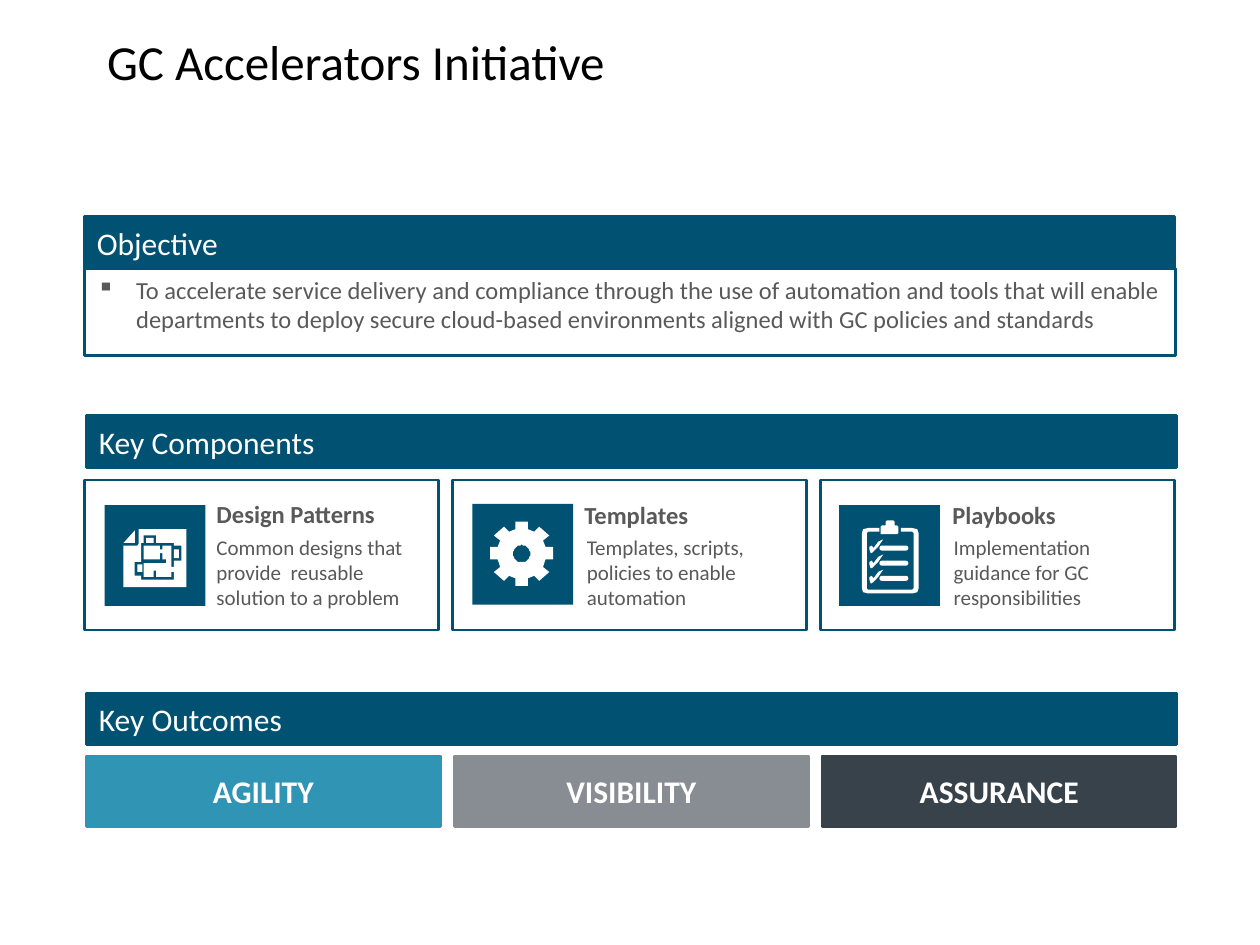
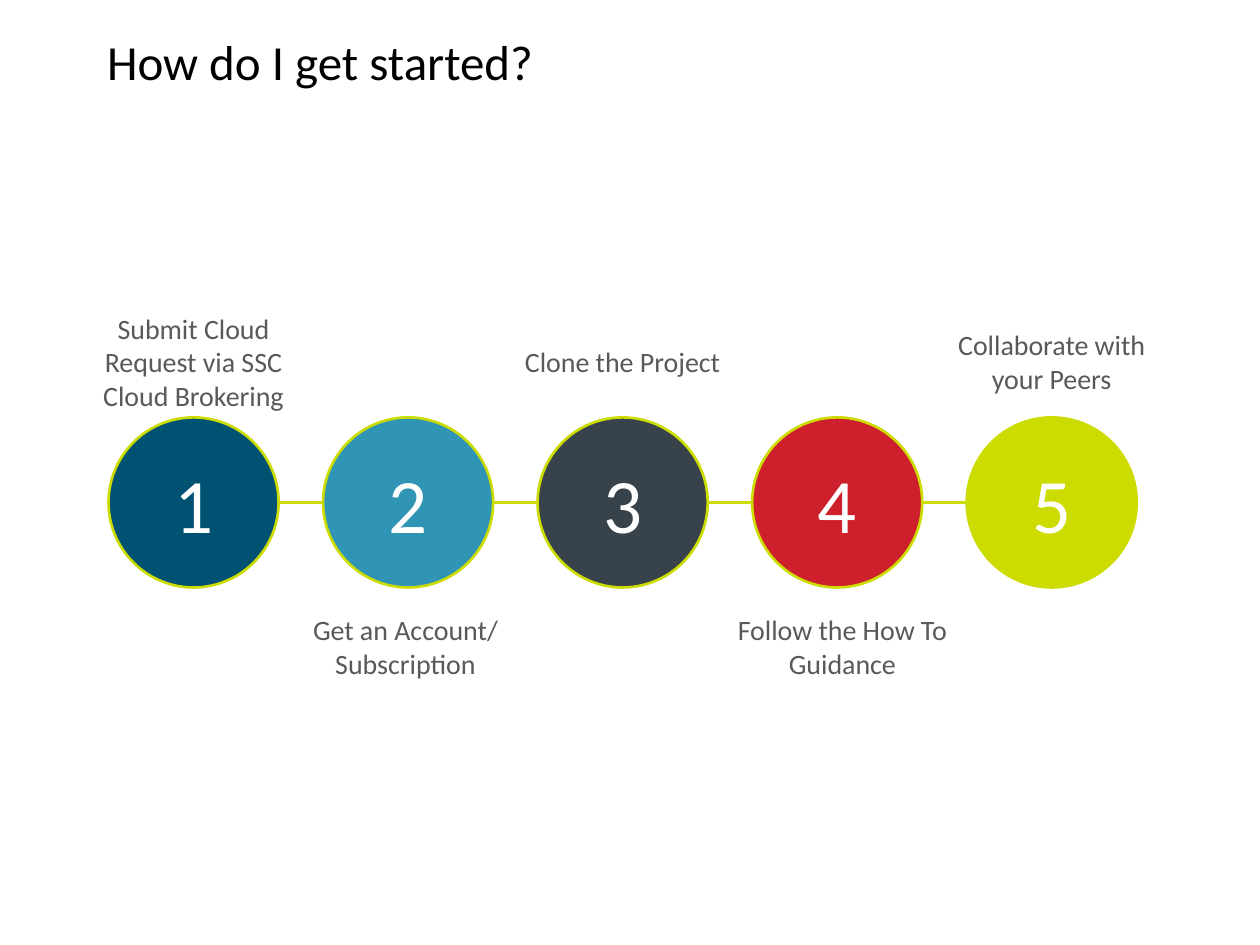
from math import cos, pi, sin

from lxml import etree
from pptx import Presentation
from pptx.dml.color import RGBColor
from pptx.enum.shapes import MSO_CONNECTOR, MSO_SHAPE
from pptx.enum.text import MSO_ANCHOR, PP_ALIGN
from pptx.oxml.ns import qn
from pptx.util import Pt

RECT, ROUNDED, OVAL = MSO_SHAPE.RECTANGLE, MSO_SHAPE.ROUNDED_RECTANGLE, MSO_SHAPE.OVAL
STRAIGHT = MSO_CONNECTOR.STRAIGHT
TOP, MIDDLE = MSO_ANCHOR.TOP, MSO_ANCHOR.MIDDLE
LEFT, CENTER = PP_ALIGN.LEFT, PP_ALIGN.CENTER

WHITE = RGBColor(0xFF, 0xFF, 0xFF)
BLACK = RGBColor(0, 0, 0)
TEXT_GREY = RGBColor(0x59, 0x59, 0x59)
TEAL = RGBColor(0x00, 0x51, 0x72)
SKY = RGBColor(0x30, 0x95, 0xB4)
SILVER = RGBColor(0x87, 0x8D, 0x92)
SLATE = RGBColor(0x37, 0x42, 0x4A)
RED = RGBColor(0xCD, 0x20, 0x2C)
LIME = RGBColor(0xCC, 0xDC, 0x00)

FONT = "Calibri"
LINE_WIDTH = 1.5
TILE = 57.6          # side of an icon tile
UNIT = TILE / 80     # icons are drawn on an 80 x 80 grid


class Deck:
    """Holds the presentation, its style and the current slide."""

    def __init__(self):
        self.prs = Presentation()
        self.prs.slide_width, self.prs.slide_height = Pt(720), Pt(540)
        self.slide = None

    def new_slide(self, title):
        self.slide = self.prs.slides.add_slide(self.prs.slide_layouts[6])
        frame = self.text((61.2, 18, 427.68, 53.28), title, 28, BLACK)
        for side in ("left", "top", "right", "bottom"):
            setattr(frame, f"margin_{side}", 0)

    def fill_text(self, frame, text, size, color, bold=False, align=LEFT, anchor=TOP):
        for name, value in {"word_wrap": True, "vertical_anchor": anchor}.items():
            setattr(frame, name, value)
        paragraph = frame.paragraphs[0]
        paragraph.alignment = align
        run = paragraph.add_run()
        run.text = text
        for name, value in {"name": FONT, "size": Pt(size), "bold": bold}.items():
            setattr(run.font, name, value)
        run.font.color.rgb = color
        return frame

    def text(self, area, text, size, color=TEXT_GREY, **style):
        box = self.slide.shapes.add_textbox(*map(Pt, area))
        return self.fill_text(box.text_frame, text, size, color, **style)

    def paint(self, shape, fill=None, line=None):
        shape.shadow.inherit = False
        if fill is None:
            shape.fill.background()
        else:
            shape.fill.solid()
            shape.fill.fore_color.rgb = fill
        if line is None:
            shape.line.fill.background()
        else:
            shape.line.color.rgb = line
            shape.line.width = Pt(LINE_WIDTH)

    def shape(self, area, fill=None, line=None, kind=RECT):
        shape = self.slide.shapes.add_shape(kind, *map(Pt, area))
        self.paint(shape, fill, line)
        return shape

    def label(self, area, fill, text, size, line=None, kind=RECT, **style):
        shape = self.shape(area, fill, line or fill, kind)
        self.fill_text(shape.text_frame, text, size, WHITE, anchor=MIDDLE, **style)

    def banner(self, left, top, text):
        self.label((left, top, 623, 29.5), TEAL, text, 18)

    def bullet_box(self, area, text):
        frame = self.shape(area, line=TEAL).text_frame
        self.fill_text(frame, text, 14, TEXT_GREY)
        props = frame.paragraphs[0]._p.get_or_add_pPr()
        indent = Pt(22.5)
        props.set("marL", str(indent))
        props.set("indent", str(-indent))
        color = etree.SubElement(props, qn("a:buClr"))
        etree.SubElement(color, qn("a:srgbClr"), val=str(TEXT_GREY))
        etree.SubElement(props, qn("a:buChar"), char="▪")

    def connector(self, x1, x2, y, color):
        line = self.slide.shapes.add_connector(STRAIGHT, Pt(x1), Pt(y), Pt(x2), Pt(y))
        line.line.color.rgb = color
        line.line.width = Pt(LINE_WIDTH)
        etree.SubElement(line._element.spPr, qn("a:effectLst"))

    # Icon parts: grid units, measured from the tile's corner
    def icon_outline(self, tile, *contours):
        first, *rest = contours
        builder = self.slide.shapes.build_freeform(*first[0], scale=Pt(1) * UNIT)
        builder.add_line_segments(first[1:], close=True)
        for contour in rest:
            builder.move_to(*contour[0])
            builder.add_line_segments(contour[1:], close=True)
        self.paint(builder.convert_to_shape(*map(Pt, tile)), WHITE)

    def icon_bar(self, tile, x, y, width, height, kind=RECT):
        left, top = tile
        return self.shape((left + x * UNIT, top + y * UNIT, width * UNIT, height * UNIT),
                          WHITE, kind=kind)


def floor_plan(deck, tile):
    page = [(27, 19), (27, 31), (26, 32), (15, 32), (15, 65), (65, 65), (65, 19)]
    walls = [(61, 44), (55, 44), (55, 49), (53, 49), (53, 32), (46, 32), (46, 35),
             (44, 35), (44, 32), (31, 32), (31, 43), (44, 43), (44, 38), (46, 38),
             (46, 43), (49, 43), (49, 46), (31, 46), (31, 57), (39, 57), (39, 52),
             (41, 52), (41, 57), (53, 57), (53, 53), (55, 53), (55, 59), (29, 59),
             (29, 56), (24, 56), (24, 45), (29, 45), (29, 30), (31, 30), (31, 24),
             (41, 24), (41, 30), (55, 30), (55, 32), (61, 32)]
    deck.icon_outline(tile, page, walls)
    deck.icon_outline(tile, [(24, 20), (15, 30), (24, 30)])
    for room in ((33, 26, 6, 4), (26, 47, 4, 6), (55, 35, 4, 7)):
        deck.icon_bar(tile, *room)


def gear(deck, tile):
    center_x, center_y = 39, 39.5
    tooth = [(19.5, -5), (25.5, -5), (25.5, 5), (19.5, 5)]

    def turned(x, y, angle):
        return (center_x + x * cos(angle) - y * sin(angle),
                center_y + x * sin(angle) + y * cos(angle))

    rim = [turned(x, y, k * pi / 4) for k in range(8) for x, y in tooth]
    hole = [turned(7, 0, k * pi / 16) for k in range(32)]
    deck.icon_outline(tile, rim, hole)


def checklist(deck, tile):
    board = [(49, 18), (58, 18), (62, 19), (63, 22), (63, 66), (62, 69), (58, 70),
             (23, 70), (19, 69), (18, 66), (18, 22), (19, 19), (23, 18), (32, 18),
             (32, 21), (23, 21), (22, 22), (22, 66), (23, 67), (58, 67), (59, 66),
             (59, 22), (58, 21), (49, 21)]
    clip = [(33, 23), (33, 17), (34, 16), (37, 16), (37, 13), (38, 12), (43, 12),
            (44, 13), (44, 16), (46, 16), (47, 17), (47, 22), (46, 23)]
    tick = [(35, 27), (33, 28), (31, 29), (28, 33), (27, 34), (26, 32), (24, 33),
            (24, 35), (25, 38), (26, 38), (28, 36), (31, 33)]
    deck.icon_outline(tile, board)
    deck.icon_outline(tile, clip)
    for drop in (0, 12, 24):
        deck.icon_outline(tile, [(x, y + drop) for x, y in tick])
        deck.icon_bar(tile, 32, 32 + drop, 23, 4, ROUNDED).adjustments[0] = 0.5


def initiative_slide(deck):
    deck.new_slide("GC Accelerators Initiative")
    column_width, pitch = 202.32, 210.24

    # Objective
    deck.banner(48.24, 123.84, "Objective")
    deck.bullet_box(
        (48.24, 153.36, 623.5, 49.68),
        "To accelerate service delivery and compliance through the use of automation "
        "and tools that will enable departments to deploy secure cloud-based "
        "environments aligned with GC policies and standards")

    # Key components: heading, description, icon, tile corner, heading top, text left
    deck.banner(49.5, 237.6, "Key Components")
    components = [
        ("Design Patterns", "Common designs that provide  reusable solution to a problem",
         floor_plan, (59.76, 288.72), 281.5, 116.64),
        ("Templates", "Templates, scripts, policies to enable automation",
         gear, (270, 288), 282.25, 328.32),
        ("Playbooks", "Implementation guidance for GC responsibilities",
         checklist, (479.52, 288.72), 282.25, 537.84),
    ]
    for i, (heading, text, icon, tile, heading_top, text_left) in enumerate(components):
        card_left = 48.24 + i * pitch
        deck.shape((card_left, 274.32, column_width, 85.68), line=TEAL)
        deck.shape((*tile, TILE, TILE), TEAL)
        icon(deck, tile)
        deck.text((card_left + 68.4, heading_top, 134.64, 21.6), heading, 14, bold=True)
        deck.text((text_left, 301.68, 133.92, 51.12), text, 12)

    # Key outcomes
    deck.banner(49.5, 396, "Key Outcomes")
    outcomes = [("AGILITY", SKY), ("VISIBILITY", SILVER), ("ASSURANCE", SLATE)]
    for i, (outcome, color) in enumerate(outcomes):
        deck.label((49.32 + i * pitch, 432, column_width, 40.32), color, outcome, 18,
                   bold=True, align=CENTER)


def getting_started_slide(deck):
    deck.new_slide("How do I get started?")
    diameter, pitch, top = 97.2, 122.6, 238.5
    above, below = 181.44, 344.16
    label_width, label_height = 136.8, 50.4

    # Steps: text, circle colour, sideways shift of the text
    steps = [
        ("Submit Cloud Request via SSC Cloud Brokering", TEAL, 0),
        ("Get an Account/ Subscription", SKY, -1.5),
        ("Clone the Project", SLATE, 0),
        ("Follow the How To Guidance", RED, 3),
        ("Collaborate with your Peers", LIME, 0),
    ]
    for i, (step, color, shift) in enumerate(steps):
        left = 62 + i * pitch
        if i:
            deck.connector(left - pitch + diameter, left, top + diameter / 2, LIME)
        deck.label((left, top, diameter, diameter), color, str(i + 1), 44, line=LIME,
                   kind=OVAL, align=CENTER)
        label_left = left + (diameter - label_width) / 2 + shift
        deck.text((label_left, below if i % 2 else above, label_width, label_height),
                  step, 16, align=CENTER, anchor=MIDDLE)


def main():
    deck = Deck()
    initiative_slide(deck)
    getting_started_slide(deck)
    deck.prs.save("out.pptx")


if __name__ == "__main__":
    main()
